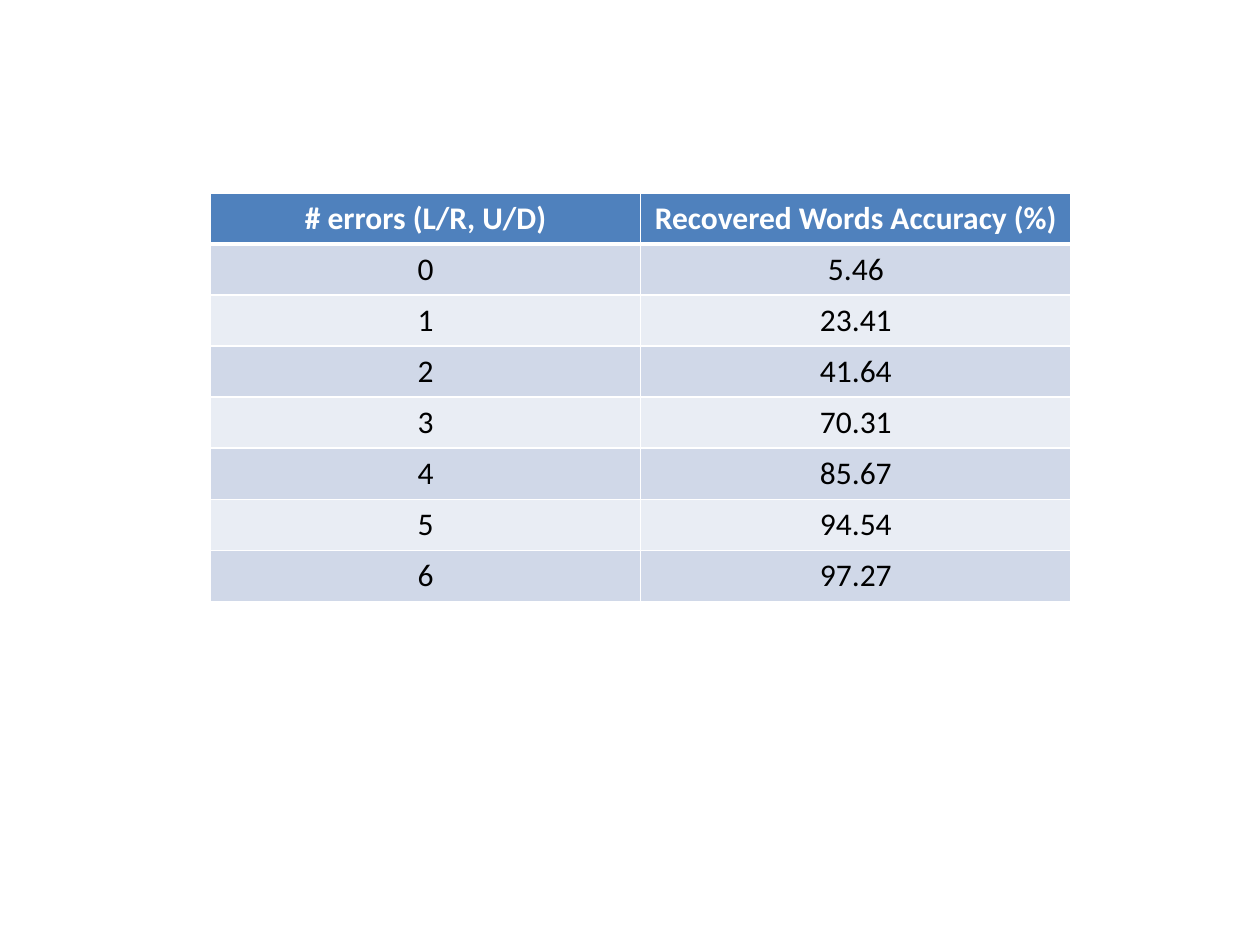
from lxml.etree import SubElement
from pptx import Presentation
from pptx.dml.color import RGBColor
from pptx.enum.text import PP_ALIGN
from pptx.oxml.ns import qn
from pptx.util import Inches, Pt

COLORS = {
    "header": "4F81BD",
    "dark_band": "D0D8E8",
    "light_band": "E9EDF4",
    "header_text": "FFFFFF",
    "body_text": "000000",
    "border": "FFFFFF",
}
HEADINGS = ("# errors (L/R, U/D)", "Recovered Words Accuracy (%)")
ACCURACIES = ("5.46", "23.41", "41.64", "70.31", "85.67", "94.54", "97.27")


def set_borders(cell, top, bottom):
    """Draw the four cell borders, with top and bottom widths in points."""
    properties = cell._tc.get_or_add_tcPr()
    for side, width in (("L", 1), ("R", 1), ("T", top), ("B", bottom)):
        line = SubElement(properties, qn(f"a:ln{side}"), w=str(Pt(width)))
        fill = SubElement(line, qn("a:solidFill"))
        SubElement(fill, qn("a:srgbClr"), val=COLORS["border"])


def fill_cell(cell, text, row):
    """Write and format one cell according to its row."""
    is_header = row == 0
    band = "header" if is_header else "dark_band" if row % 2 else "light_band"
    set_borders(cell, top=3 if row == 1 else 1, bottom=3 if is_header else 1)
    cell.fill.solid()
    cell.fill.fore_color.rgb = RGBColor.from_string(COLORS[band])
    para = cell.text_frame.paragraphs[0]
    para.alignment = PP_ALIGN.CENTER
    span = para.add_run()
    span.text = text
    span.font.name = "Calibri"
    span.font.size = Pt(18)
    span.font.bold = is_header
    text_color = COLORS["header_text" if is_header else "body_text"]
    span.font.color.rgb = RGBColor.from_string(text_color)


def add_accuracy_table(page, left, top, width, height):
    """Place the table of word accuracy by number of errors in the given box."""
    records = [HEADINGS]
    records += [(str(errors), accuracy) for errors, accuracy in enumerate(ACCURACIES)]
    table = page.shapes.add_table(
        len(records), len(HEADINGS), left, top, width, height
    ).table
    for row, record in enumerate(records):
        for column, text in enumerate(record):
            fill_cell(table.cell(row, column), text, row)


def main():
    """Build and save the deck."""
    deck = Presentation()
    deck.slide_width, deck.slide_height = Inches(10), Inches(7.5)
    page = deck.slides.add_slide(deck.slide_layouts[6])
    add_accuracy_table(page, Inches(1.67), Inches(1.53), Inches(6.83), Inches(3.24))
    deck.save("out.pptx")


if __name__ == "__main__":
    main()
